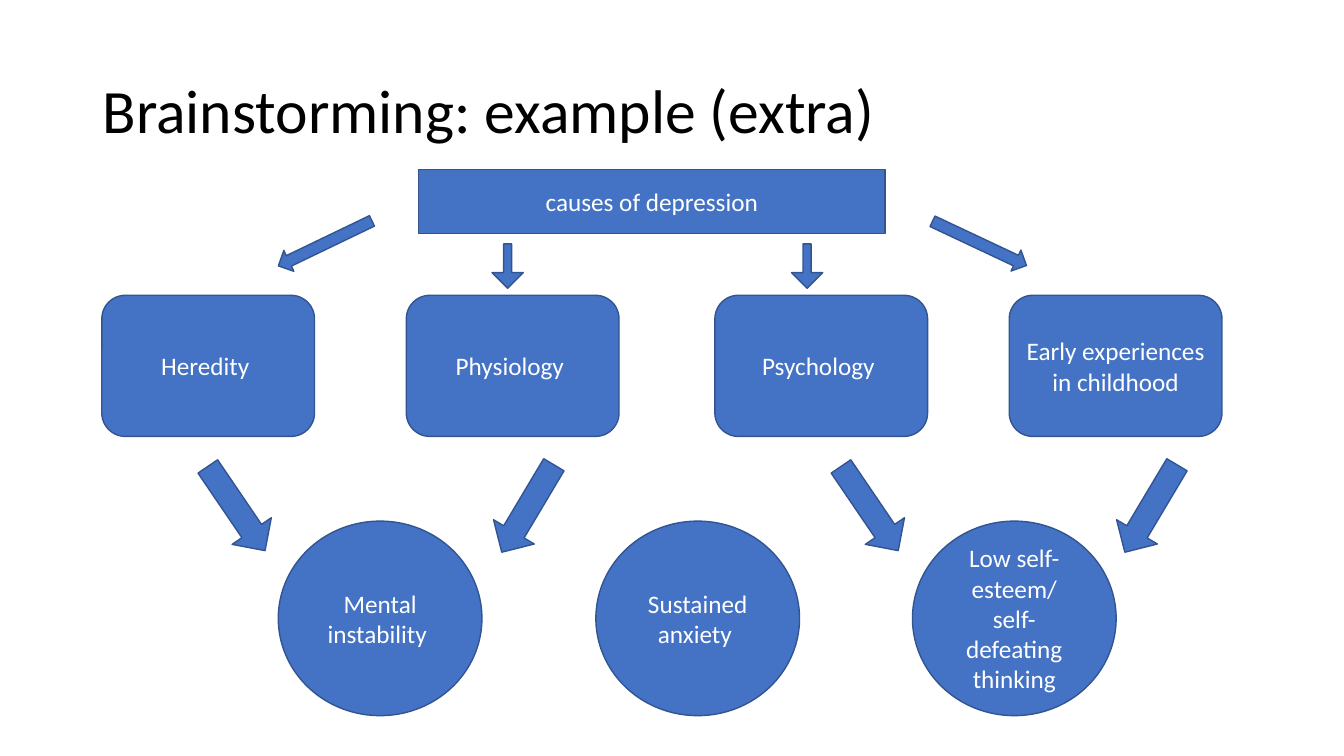
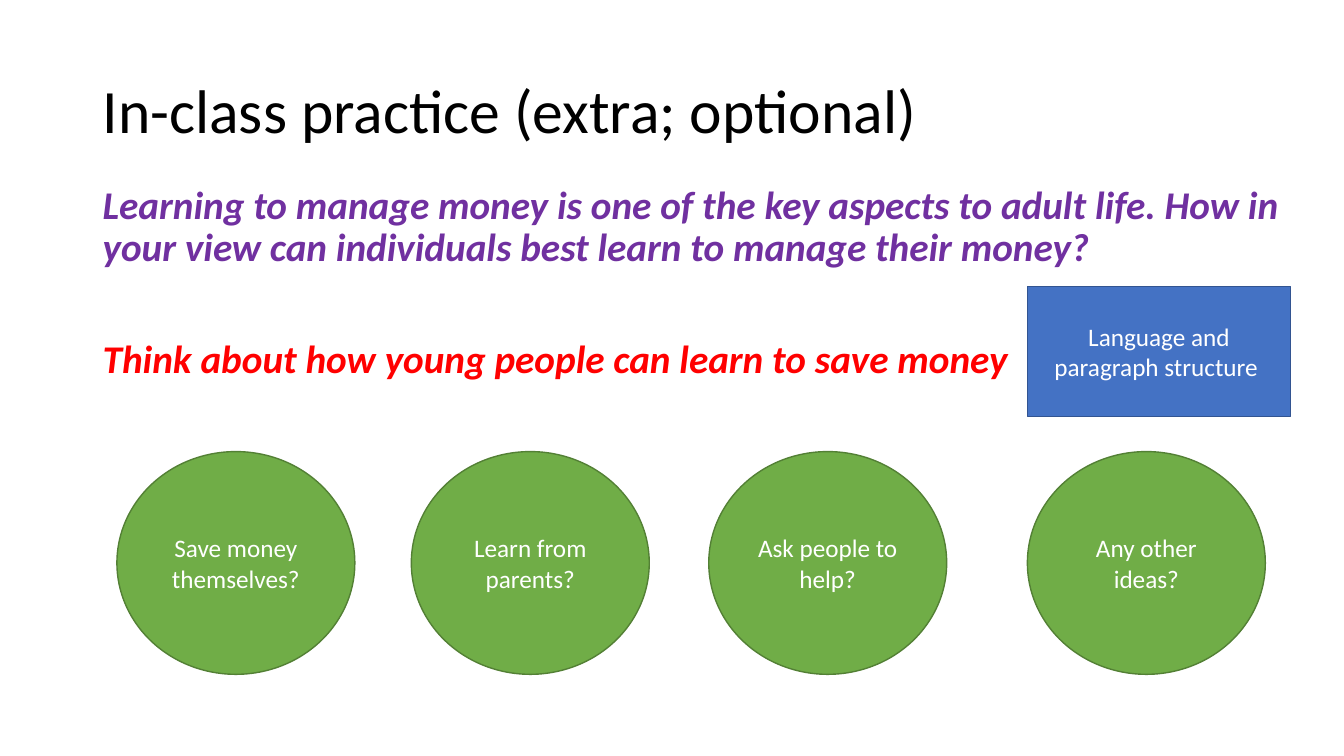
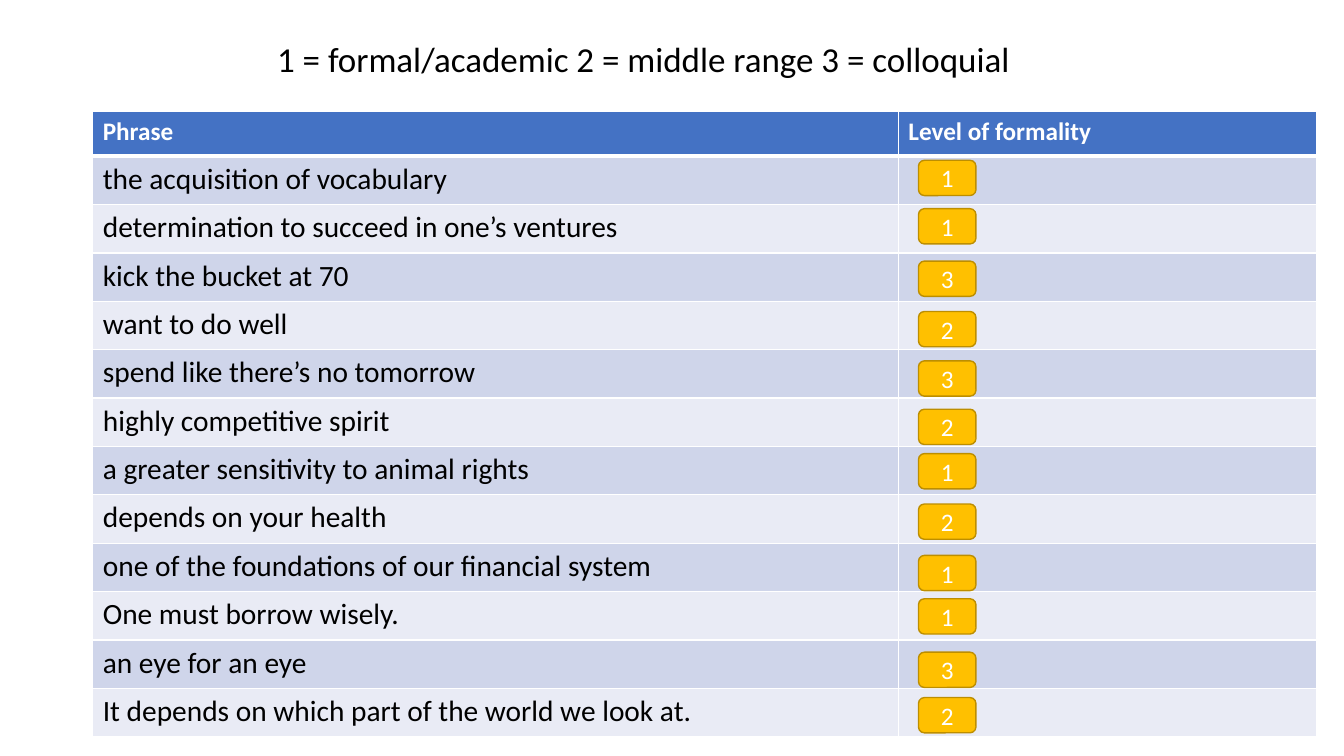
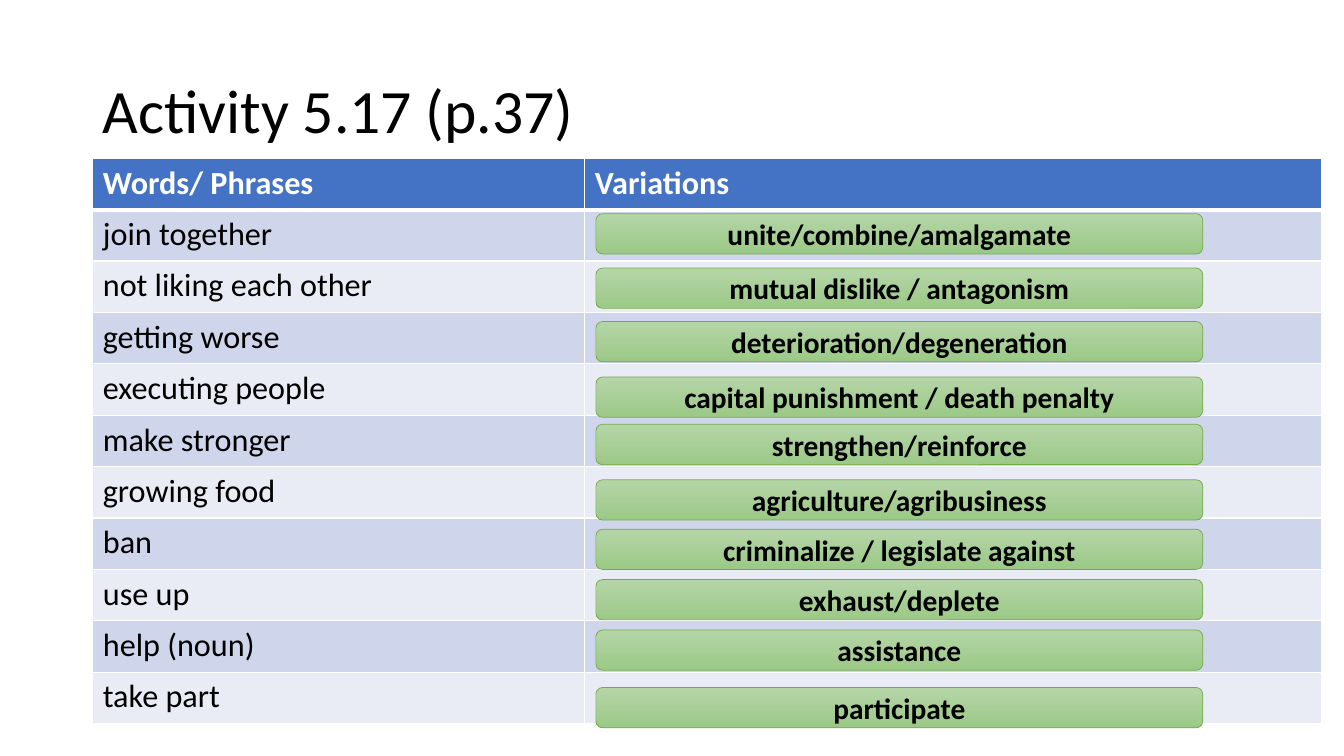
from dataclasses import dataclass

from pptx import Presentation
from pptx.dml.color import RGBColor
from pptx.enum.shapes import MSO_SHAPE
from pptx.enum.text import MSO_ANCHOR, PP_ALIGN
from pptx.oxml import parse_xml
from pptx.oxml.ns import nsdecls
from pptx.util import Inches, Pt

RECT = MSO_SHAPE.RECTANGLE
ROUND = MSO_SHAPE.ROUNDED_RECTANGLE
OVAL = MSO_SHAPE.OVAL
ARROW = MSO_SHAPE.DOWN_ARROW
TOP, MIDDLE = MSO_ANCHOR.TOP, MSO_ANCHOR.MIDDLE
CENTER = PP_ALIGN.CENTER


@dataclass(frozen=True)
class Theme:
    font: str = "Calibri"
    # Colours
    white: str = "FFFFFF"
    black: str = "000000"
    purple: str = "7030A0"
    red: str = "FF0000"
    blue: tuple = ("4472C4", "325491")
    green: tuple = ("70AD47", "538035")
    gold: tuple = ("FFC000", "BD8E00")
    fade: tuple = ("B5D5A7", "9CC987")
    bands: tuple = ("CFD5EA", "E9EBF5")
    # Type sizes
    head: int = 44
    lead: int = 28
    key: int = 25
    word: int = 23
    phrase: int = 21
    label: int = 18


class Deck:
    def __init__(self, theme):
        self.theme = theme
        self.file = Presentation()
        self.file.slide_width = Inches(13.33)
        self.file.slide_height = Inches(7.5)
        self.slide = None

    def page(self, title=None):
        self.slide = self.file.slides.add_slide(self.file.slide_layouts[6])
        if title:
            self.text((0.92, 0.4, 11.5, 1.45), [(title, self.theme.black, 0)],
                      self.theme.head, anchor=MIDDLE, pitch=0.9)

    def style(self, para, size, color, bold=False, italic=False):
        font = para.font
        font.name, font.size = self.theme.font, Pt(size)
        font.bold, font.italic = bold, italic
        font.color.rgb = RGBColor.from_string(color)

    def text(self, box, lines, size, anchor=TOP, pitch=1.0, strong=False):
        """Each line is its text, colour and space before in points."""
        frame = self.slide.shapes.add_textbox(*map(Inches, box)).text_frame
        frame.word_wrap = True
        frame.vertical_anchor = anchor
        for i, (words, color, gap) in enumerate(lines):
            para = frame.add_paragraph() if i else frame.paragraphs[0]
            para.text = words
            para.line_spacing = pitch
            para.space_before = Pt(gap)
            self.style(para, size, color, strong, strong)

    def shape(self, kind, box, colors, words="", turn=0):
        fill, edge = colors
        item = self.slide.shapes.add_shape(kind, *map(Inches, box))
        item.shadow.inherit = False
        item.rotation = turn
        item.fill.solid()
        item.fill.fore_color.rgb = RGBColor.from_string(fill)
        item.line.color.rgb = RGBColor.from_string(edge)
        item.line.width = Pt(1)
        if words:
            para = item.text_frame.paragraphs[0]
            para.text = words
            para.alignment = CENTER
            self.style(para, self.theme.label, self.theme.white)
        return item

    def answer(self, box, words):
        theme = self.theme
        item = self.shape(ROUND, box, theme.green, words)
        item.line.color.rgb = RGBColor.from_string(theme.green[0])
        item.line.width = Pt(0.5)
        item.fill.gradient()
        item.fill.gradient_angle = 270
        for stop, color in zip(item.fill.gradient_stops, theme.fade):
            stop.color.rgb = RGBColor.from_string(color)
        self.style(item.text_frame.paragraphs[0], theme.phrase, theme.black, True)

    def border(self, cell, head):
        for side in "LRTB":
            width = Pt(3 if head and side == "B" else 1)
            cell._tc.get_or_add_tcPr().append(parse_xml(
                f'<a:ln{side} {nsdecls("a")} w="{width}"><a:solidFill>'
                f'<a:srgbClr val="{self.theme.white}"/></a:solidFill></a:ln{side}>'))

    def table(self, spot, widths, heights, heads, words, sizes):
        theme = self.theme
        rows = [heads] + [(word, "") for word in words]
        tall = [heights[0]] + [heights[1]] * len(words)
        box = (*spot, sum(widths), sum(tall))
        grid = self.slide.shapes.add_table(len(rows), len(widths), *map(Inches, box)).table
        grid.horz_banding = False
        for col, width in zip(grid.columns, widths):
            col.width = Inches(width)
        for r, row in enumerate(rows):
            grid.rows[r].height = Inches(tall[r])
            head = r == 0
            fill = theme.blue[0] if head else theme.bands[(r - 1) % 2]
            for c, entry in enumerate(row):
                cell = grid.cell(r, c)
                cell.text = entry
                self.style(cell.text_frame.paragraphs[0], sizes[0 if head else 1],
                           theme.white if head else theme.black, head)
                self.border(cell, head)
                cell.fill.solid()
                cell.fill.fore_color.rgb = RGBColor.from_string(fill)


def causes(deck):
    blue = deck.theme.blue
    deck.page("Brainstorming: example (extra)")
    deck.shape(RECT, (4.15, 1.68, 4.63, 0.64), blue, "causes of depression")
    # Causes
    for left, words in ((1.01, "Heredity "), (4.03, "Physiology "), (7.09, "Psychology "),
                        (10.01, "Early experiences in childhood")):
        deck.shape(ROUND, (left, 2.93, 2.11, 1.4), blue, words)
    # Effects
    for left, words in ((2.76, "Mental instability "), (5.91, "Sustained anxiety "),
                        (9.05, "Low self-esteem/ self-defeating thinking")):
        deck.shape(OVAL, (left, 5.17, 2.02, 1.93), blue, words)
    # Arrows from causes to effects
    for left, turn in ((5, 30.8), (11.18, 30.8), (2.11, 325.8), (8.39, 325.8)):
        deck.shape(ARROW, (left, 4.54, 0.47, 1.01), blue, turn=turn)
    # Arrows from topic to causes
    for left, turn in ((3.11, 64.3), (9.6, 295.2)):
        deck.shape(ARROW, (left, 1.9, 0.23, 1.03), blue, turn=turn)
    for left in (4.88, 7.85):
        deck.shape(ARROW, (left, 2.42, 0.31, 0.44), blue).adjustments[0] = 0.26


def practice(deck):
    theme = deck.theme
    deck.page("In-class practice (extra; optional)")
    deck.text((0.92, 1.79, 11.92, 5.5), [
        ("Learning to manage money is one of the key aspects to adult life. "
         "How in your view can individuals best learn to manage their money?",
         theme.purple, 0),
        ("Think about how young people can learn to save money", theme.red, 50),
    ], theme.lead, pitch=0.9, strong=True)
    # Prompts
    for left, words in ((1.16, "Save money themselves?"), (4.08, "Learn from parents?"),
                        (7.03, "Ask people to help?"), (10.19, "Any other ideas?")):
        deck.shape(OVAL, (left, 4.48, 2.36, 2.21), theme.green, words)
    deck.shape(RECT, (10.19, 2.84, 2.61, 1.29), theme.blue,
               "Language and paragraph structure ")


def levels(deck):
    theme = deck.theme
    # Phrase, level, top of its badge
    rows = (
        ("the acquisition of vocabulary", "1", 1.59),
        ("determination to succeed in one’s ventures", "1", 2.07),
        ("kick the bucket at 70", "3", 2.59),
        ("want to do well", "2", 3.09),
        ("spend like there’s no tomorrow", "3", 3.58),
        ("highly competitive spirit", "2", 4.06),
        ("a greater sensitivity to animal rights", "1", 4.5),
        ("depends on your health", "2", 5),
        ("one of the foundations of our financial system", "1", 5.51),
        ("One must borrow wisely.", "1", 5.94),
        ("an eye for an eye", "3", 6.47),
        ("It depends on which part of the world we look at.", "2", 6.92),
    )
    deck.page()
    deck.table((0.92, 1.11), (7.99, 4.15), (0.44, 0.48), ("Phrase", "Level of formality"),
               [row[0] for row in rows], (theme.label, theme.phrase))
    deck.text((2.65, 0.32, 8.8, 0.52),
              [("1 = formal/academic 2 = middle range 3 = colloquial", theme.black, 0)],
              theme.key)
    for _, level, top in rows:
        deck.shape(ROUND, (9.11, top, 0.57, 0.35), theme.gold, level)


def variants(deck):
    theme = deck.theme
    # Phrase, variation, top of its answer
    rows = (
        ("join together", "unite/combine/amalgamate", 2.12),
        ("not liking each other", "mutual dislike / antagonism", 2.66),
        ("getting worse", "deterioration/degeneration", 3.19),
        ("executing people", "capital punishment / death penalty", 3.74),
        ("make stronger", "strengthen/reinforce", 4.21),
        ("growing food", "agriculture/agribusiness", 4.76),
        ("ban", "criminalize / legislate against", 5.25),
        ("use up", "exhaust/deplete", 5.75),
        ("help (noun)", "assistance", 6.25),
        ("take part", "participate", 6.82),
    )
    deck.page("Activity 5.17 (p.37)")
    deck.table((0.92, 1.57), (4.88, 7.31), (0.51, 0.51), ("Words/ Phrases", "Variations"),
               [row[0] for row in rows], (theme.word, theme.word))
    for _, words, top in rows:
        deck.answer((5.91, top, 6.02, 0.4), words)


def main():
    deck = Deck(Theme())
    for build in (causes, practice, levels, variants):
        build(deck)
    deck.file.save("out.pptx")


if __name__ == "__main__":
    main()
